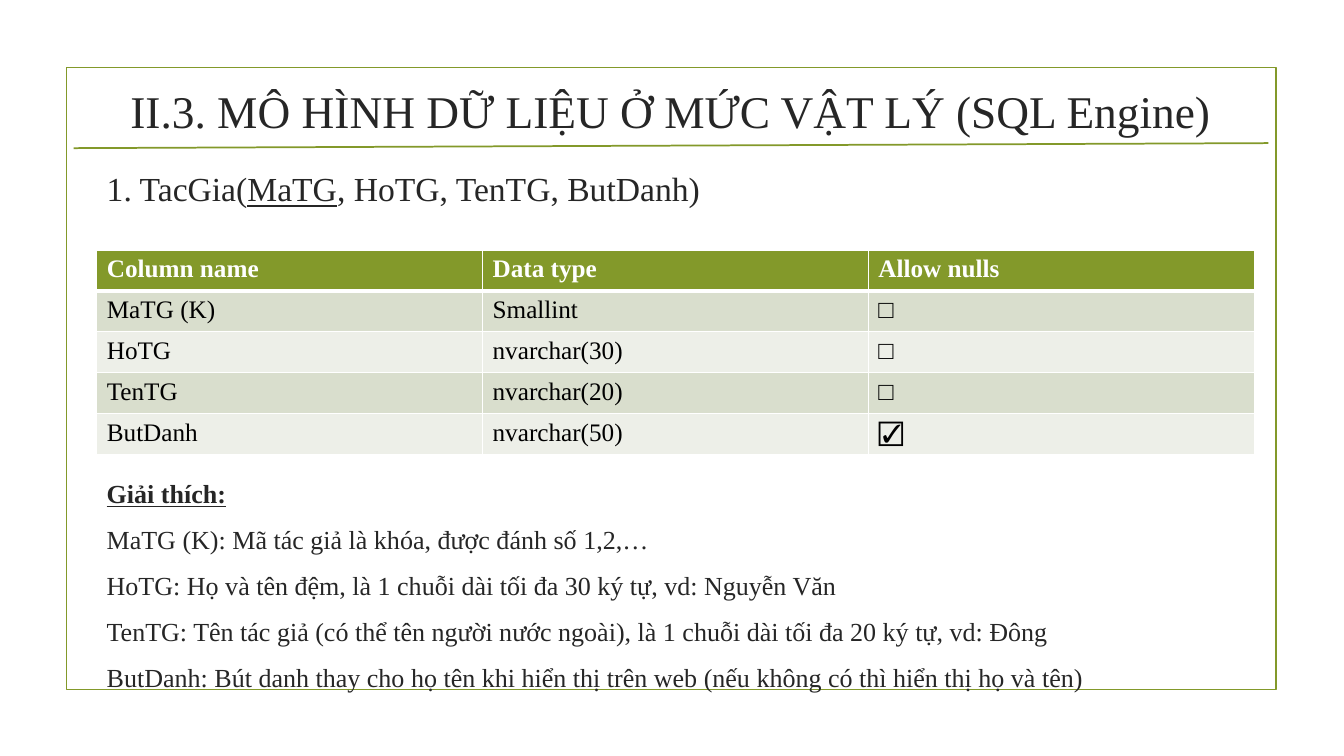
from pptx import Presentation
from pptx.dml.color import RGBColor
from pptx.enum import shapes, text
from pptx.oxml import parse_xml
from pptx.oxml.ns import nsdecls
from pptx.util import Inches, Pt

COLORS = {"green": "83992A", "ink": "262626", "black": "000000",
          "white": "FFFFFF", "dark_band": "D9DECD", "light_band": "EDEFE8"}
FONT = "Times New Roman"

TITLE = "II.3. MÔ HÌNH DỮ LIỆU Ở MỨC VẬT LÝ (SQL Engine)"
RELATION = [("1. TacGia(", {}), ("MaTG", {"underline": True}),
            (", HoTG, TenTG, ButDanh)", {})]
COLUMNS = [
    ("Column name", "Data type", "Allow nulls"),
    ("MaTG (K)", "Smallint", "□"),
    ("HoTG", "nvarchar(30)", "□"),
    ("TenTG", "nvarchar(20)", "□"),
    ("ButDanh", "nvarchar(50)", "☑"),
]
EXPLANATION_HEAD = "Giải thích:"
EXPLANATION = [
    "MaTG (K): Mã tác giả là khóa, được đánh số 1,2,…",
    "HoTG: Họ và tên đệm, là 1 chuỗi dài tối đa 30 ký tự, vd: Nguyễn Văn",
    "TenTG: Tên tác giả (có thể tên người nước ngoài), là 1 chuỗi dài tối đa 20 ký tự, vd: Đông",
    "ButDanh: Bút danh thay cho họ tên khi hiển thị trên web (nếu không có thì hiển thị họ và tên)",
]
LEFT, WIDTH = 0.96, 11.48
ROW_HEIGHT = 0.406


def rgb(name):
    return RGBColor.from_string(COLORS[name])


def add_run(p, words, size, color="ink", bold=False, underline=False):
    r = p.add_run()
    r.text = words
    r.font.name, r.font.size = FONT, Pt(size)
    r.font.bold, r.font.underline = bold, underline
    r.font.color.rgb = rgb(color)


def add_text(slide, top, height, paragraphs, size):
    """Add a text box; each paragraph is a list of (words, format) runs."""
    box = slide.shapes.add_textbox(Inches(LEFT), Inches(top), Inches(WIDTH), Inches(height))
    tf = box.text_frame
    tf.word_wrap = True
    for i, runs in enumerate(paragraphs):
        p = tf.paragraphs[0] if i == 0 else tf.add_paragraph()
        p.space_before, p.space_after = Pt(size * 0.24 if i else 0), Pt(6)
        for words, style in runs:
            add_run(p, words, size, **style)


def add_borders(cell, bottom):
    tc_pr = cell._tc.get_or_add_tcPr()
    for side, width in (("L", 1), ("R", 1), ("T", 1), ("B", bottom)):
        tc_pr.append(parse_xml(
            f'<a:ln{side} {nsdecls("a")} w="{Pt(width)}"><a:solidFill>'
            f'<a:srgbClr val="{COLORS["white"]}"/></a:solidFill></a:ln{side}>'))


def add_frame(slide):
    sp = slide.shapes.add_shape(shapes.MSO_SHAPE.RECTANGLE, Inches(0.66), Inches(0.67),
                                Inches(12), Inches(6.17))
    sp.shadow.inherit = False
    sp.fill.background()
    rule = slide.shapes.add_connector(shapes.MSO_CONNECTOR.STRAIGHT, Inches(0.73),
                                      Inches(1.47), Inches(12.58), Inches(1.42))
    rule._element.spPr.append(parse_xml(f'<a:effectLst {nsdecls("a")}/>'))
    for s in (sp, rule):
        s.line.color.rgb = rgb("green")
        s.line.width = Pt(1.25)


def add_title(slide):
    title = slide.shapes.title
    title.left, title.top = Inches(0.72), Inches(0.76)
    title.width, title.height = Inches(11.86), Inches(0.67)
    tf = title.text_frame
    tf.auto_size = text.MSO_AUTO_SIZE.NONE
    tf.word_wrap = True
    tf.vertical_anchor = text.MSO_ANCHOR.MIDDLE
    p = tf.paragraphs[0]
    p.alignment, p.line_spacing = text.PP_ALIGN.CENTER, 1.0
    add_run(p, TITLE, 32.4)


def add_columns_table(slide):
    n_rows, n_cols = len(COLUMNS), len(COLUMNS[0])
    table = slide.shapes.add_table(n_rows, n_cols, Inches(LEFT), Inches(2.48),
                                   Inches(WIDTH), Inches(ROW_HEIGHT * n_rows)).table
    for i, row in enumerate(COLUMNS):
        header = i == 0
        band = "green" if header else "dark_band" if i % 2 else "light_band"
        for j, words in enumerate(row):
            cell = table.cell(i, j)
            add_borders(cell, bottom=3 if header else 1)
            cell.fill.solid()
            cell.fill.fore_color.rgb = rgb(band)
            add_run(cell.text_frame.paragraphs[0], words, 18,
                    color="white" if header else "black", bold=header)


def main():
    prs = Presentation()
    prs.slide_width, prs.slide_height = Inches(13.33), Inches(7.5)
    slide = prs.slides.add_slide(prs.slide_layouts[5])
    add_frame(slide)
    add_title(slide)
    add_columns_table(slide)
    add_text(slide, 1.62, 0.66, [RELATION], 24)
    head = [(EXPLANATION_HEAD, {"bold": True, "underline": True})]
    add_text(slide, 4.69, 1.97, [head] + [[(line, {})] for line in EXPLANATION], 18.6)
    prs.save("out.pptx")


if __name__ == "__main__":
    main()
